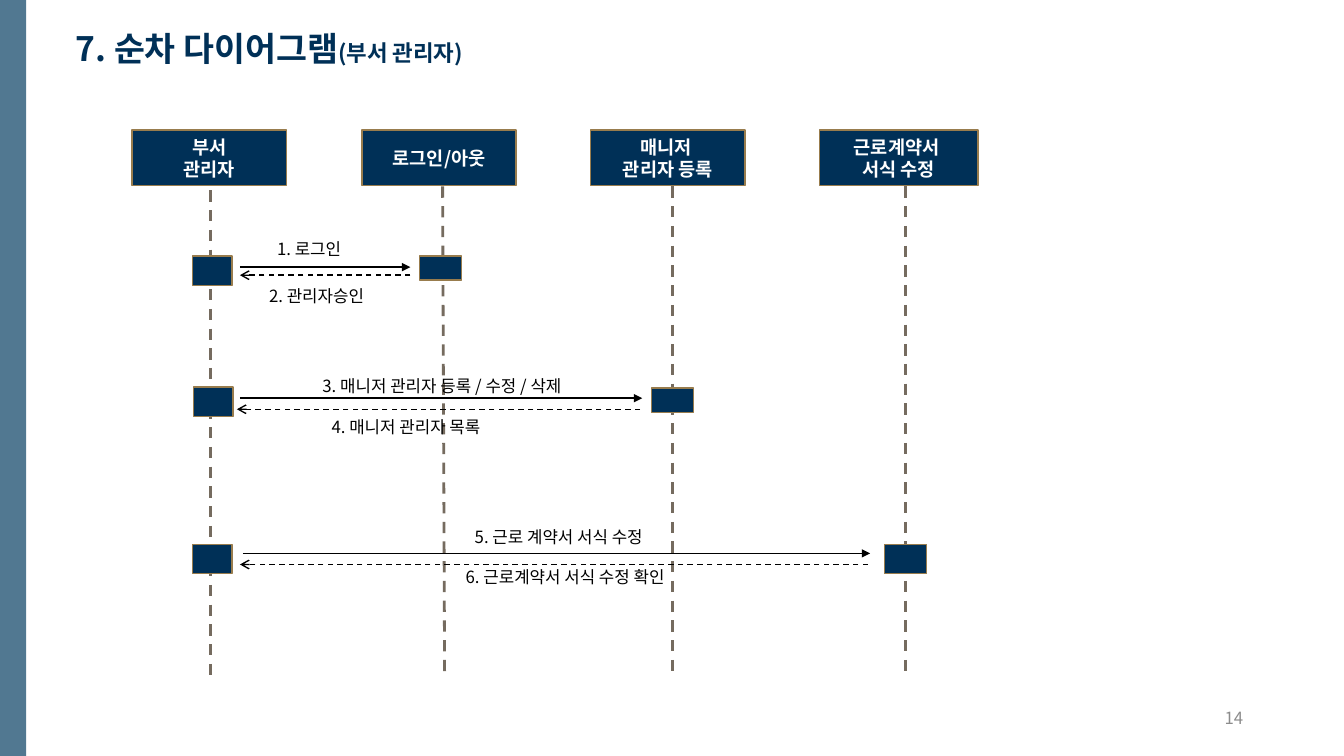
from pptx import Presentation
from pptx.dml.color import RGBColor
from pptx.enum.dml import MSO_LINE
from pptx.enum.shapes import MSO_CONNECTOR, MSO_SHAPE
from pptx.enum.text import MSO_ANCHOR, MSO_AUTO_SIZE, PP_ALIGN
from pptx.oxml.ns import qn
from pptx.util import Inches, Pt
from lxml import etree

FONT = "Noto Sans CJK KR"
NAVY, GOLD, STEEL = "003057", "987C4D", "517891"
BROWN, GRAY, BLACK, WHITE = "756B5F", "8C8C8C", "000000", "FFFFFF"
RECT, STRAIGHT, DASH = MSO_SHAPE.RECTANGLE, MSO_CONNECTOR.STRAIGHT, MSO_LINE.DASH
LEFT, CENTER, RIGHT = PP_ALIGN.LEFT, PP_ALIGN.CENTER, PP_ALIGN.RIGHT
TOP, MIDDLE = MSO_ANCHOR.TOP, MSO_ANCHOR.MIDDLE
GROW, FIXED = MSO_AUTO_SIZE.SHAPE_TO_FIT_TEXT, MSO_AUTO_SIZE.NONE

# left, width, lines of text
HEADS = [
    (1.31, 1.53, ["부서", "관리자"]),
    (3.59, 1.53, ["로그인/아웃"]),
    (5.86, 1.53, ["매니저 ", "관리자 등록"]),
    (8.13, 1.57, ["근로계약서 ", "서식 수정"]),
]
# top x, top y, bottom x
LIVES = [(2.09, 1.89, 2.09), (4.39, 1.85, 4.41),
         (6.67, 1.85, 6.67), (8.98, 1.85, 8.98)]
# left, top, width, height
BARS = [
    (1.91, 2.54, 0.39, 0.29), (4.16, 2.54, 0.42, 0.24),
    (1.92, 3.84, 0.39, 0.29), (6.46, 3.85, 0.42, 0.24),
    (1.91, 5.4, 0.39, 0.29), (8.77, 5.4, 0.42, 0.29),
]
# start x, end x, y, label, label left, label top, label width
CALLS = [
    (2.38, 4.07, 2.65, "1. 로그인", 2.65, 2.32, 0.9),
    (4.07, 2.38, 2.73, "2. 관리자승인", 2.57, 2.79, 1.23),
    (2.38, 6.37, 3.95, "3. 매니저 관리자 등록 / 수정 / 삭제", 3.1, 3.68, 2.9),
    (6.35, 2.35, 4.06, "4. 매니저 관리자 목록", 3.19, 4.09, 1.92),
    (2.41, 8.63, 5.49, "5. 근로 계약서 서식 수정", 4.61, 5.18, 2.08),
    (8.61, 2.38, 5.6, "6. 근로계약서 서식 수정 확인", 4.52, 5.57, 2.42),
]


def rgb(code):
    return RGBColor.from_string(code)


def add_run(para, text, size, color, bold):
    run = para.add_run()
    run.text = text
    font = run.font
    font.name, font.size, font.bold = FONT, Pt(size), bold
    font.color.rgb = rgb(color)
    east = etree.SubElement(run._r.get_or_add_rPr(), qn("a:ea"))
    east.set("typeface", FONT)


def write(shape, lines, size=12, color=BLACK, bold=False, align=LEFT,
          anchor=TOP, wrap=True, fit=FIXED, inset=None):
    """Each line is a list of (text, size) runs or a plain string."""
    frame = shape.text_frame
    frame.word_wrap, frame.auto_size = wrap, fit
    frame.vertical_anchor = anchor
    if inset is not None:
        frame.margin_left = frame.margin_right = Inches(inset)
        frame.margin_top = frame.margin_bottom = Inches(inset)
    for i, line in enumerate(lines):
        para = frame.add_paragraph() if i else frame.paragraphs[0]
        para.alignment = align
        runs = [(line, size)] if isinstance(line, str) else line
        for text, points in runs:
            add_run(para, text, points, color, bold)


def add_box(slide, x, y, w, h, fill=NAVY, edge=GOLD):
    box = slide.shapes.add_shape(RECT, Inches(x), Inches(y), Inches(w), Inches(h))
    box.shadow.inherit = False
    box.fill.solid()
    box.fill.fore_color.rgb = rgb(fill)
    if edge:
        box.line.color.rgb = rgb(edge)
        box.line.width = Pt(1)
    else:
        box.line.fill.background()
    return box


def add_label(slide, text, x, y, w, h=0.3, **style):
    label = slide.shapes.add_textbox(Inches(x), Inches(y), Inches(w), Inches(h))
    write(label, [text], **style)


def add_line(slide, x1, y1, x2, y2, color=BLACK, width=1, dash=False, head=None):
    link = slide.shapes.add_connector(
        STRAIGHT, Inches(x1), Inches(y1), Inches(x2), Inches(y2))
    link.line.color.rgb = rgb(color)
    link.line.width = Pt(width)
    if dash:
        link.line.dash_style = DASH
    if head:
        tip = etree.SubElement(link.line._get_or_add_ln(), qn("a:tailEnd"))
        tip.set("type", head)
    etree.SubElement(link._element.spPr, qn("a:effectLst"))


def add_title(slide):
    title = slide.shapes.title
    title.left, title.top = Inches(0.65), Inches(0.23)
    title.width, title.height = Inches(7.45), Inches(0.5)
    write(title, [[("7. 순차 다이어그램", 24), ("(부서 관리자)", 16)]],
          color=NAVY, bold=True, fit=GROW)


def add_call(slide, start, end, y, text, x, top, width):
    """Draw a solid request to the right or a dashed reply to the left."""
    reply = end < start
    add_line(slide, start, y, end, y, dash=reply,
             head="arrow" if reply else "triangle")
    add_label(slide, text, x, top, width, wrap=False, fit=GROW)


def main():
    deck = Presentation()
    deck.slide_width, deck.slide_height = Inches(13.33), Inches(7.5)
    slide = deck.slides.add_slide(deck.slide_layouts[5])
    add_title(slide)
    add_box(slide, 0, 0, 0.26, 7.5, fill=STEEL, edge=None)
    for x, w, lines in HEADS:
        head = add_box(slide, x, 1.29, w, 0.55)
        write(head, lines, size=13.3, color=WHITE, bold=True,
              align=CENTER, anchor=MIDDLE, inset=0)
    for x, top, foot in LIVES:
        add_line(slide, x, top, foot, 6.74, color=BROWN, width=2, dash=True)
    for bar in BARS:
        add_box(slide, *bar)
    for call in CALLS:
        add_call(slide, *call)
    add_label(slide, "14", 9.32, 6.92, 3.11, 0.4, color=GRAY,
              align=RIGHT, anchor=MIDDLE)
    deck.save("out.pptx")


if __name__ == "__main__":
    main()
